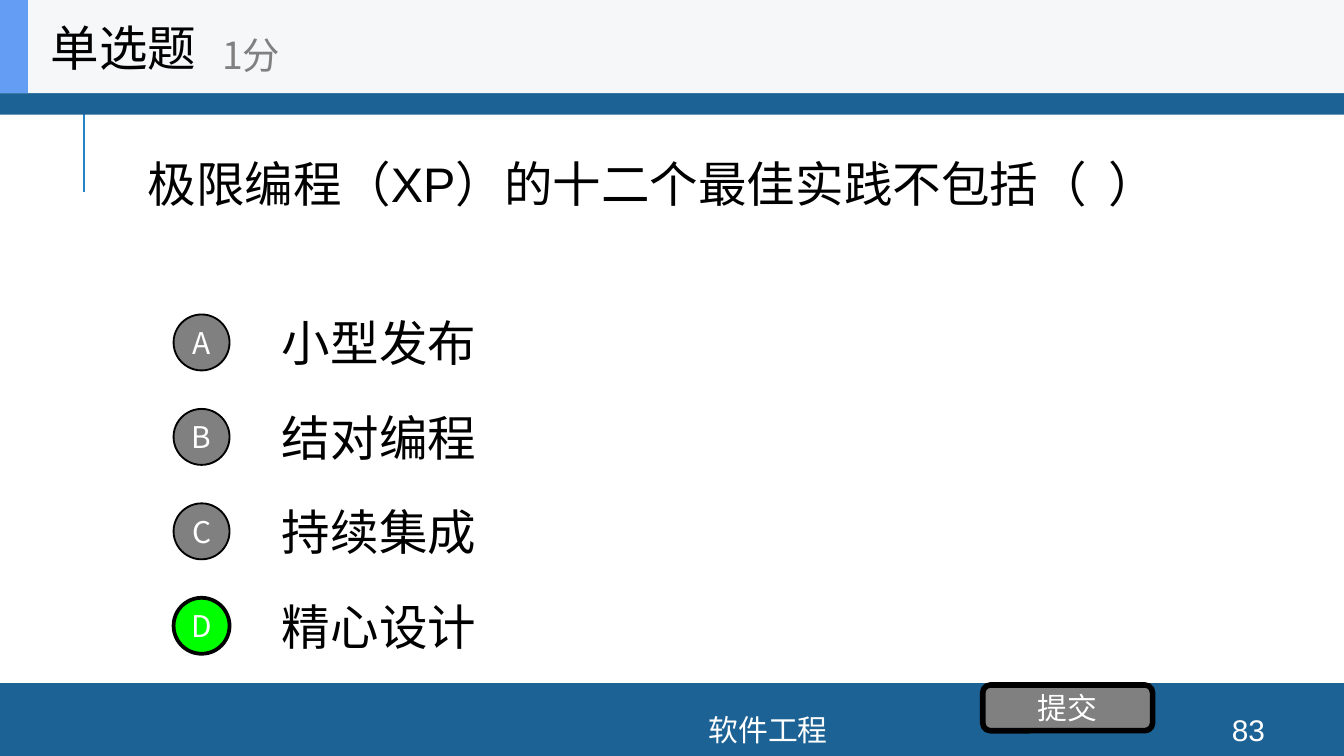
import pptx
import pptx.util
import pptx.dml.color
import pptx.enum.shapes
import pptx.enum.text
import pptx.oxml.ns
from lxml import etree

Pt = pptx.util.Pt
SHAPE = pptx.enum.shapes.MSO_SHAPE
ALIGN = pptx.enum.text.PP_ALIGN
CJK = "Noto Sans CJK SC"
COLORS = {
    "bar": "1D6294", "rule": "2683C6", "header": "F6F7F8", "accent": "639EF4",
    "gray": "808080", "correct": "00FF00", "black": "000000", "white": "FFFFFF",
}


def rgb(name):
    return pptx.dml.color.RGBColor.from_string(COLORS[name])


def write(shape, text, size=16, font="Arial", color="white",
          align=ALIGN.CENTER, inset=0, bottom=0, wrap=True):
    frame = shape.text_frame
    frame.auto_size = pptx.enum.text.MSO_AUTO_SIZE.NONE
    frame.word_wrap = wrap
    frame.vertical_anchor = pptx.enum.text.MSO_ANCHOR.MIDDLE
    frame.margin_left = frame.margin_right = Pt(inset)
    frame.margin_top, frame.margin_bottom = Pt(0), Pt(bottom)
    paragraph = frame.paragraphs[0]
    paragraph.alignment = align
    paragraph.line_spacing = 1.0
    run = paragraph.add_run()
    run.text = text
    run.font.size, run.font.name = Pt(size), font
    run.font.color.rgb = rgb(color)
    east_asian = etree.SubElement(run.font._element, pptx.oxml.ns.qn("a:ea"))
    east_asian.set("typeface", CJK)


def block(kind, left, top, width, height, fill, line=0):
    """Add a filled preset shape, outlined in black where line is a width."""
    shape = shapes.add_shape(kind, Pt(left), Pt(top), Pt(width), Pt(height))
    shape.shadow.inherit = False
    shape.fill.solid()
    shape.fill.fore_color.rgb = rgb(fill)
    if line:
        shape.line.color.rgb = rgb("black")
        shape.line.width = Pt(line)
    else:
        shape.line.fill.background()
    return shape


deck = pptx.Presentation()
deck.slide_width, deck.slide_height = Pt(720), Pt(405)
slide = deck.slides.add_slide(deck.slide_layouts[5])
shapes = slide.shapes

# Frame of the slide
rule = shapes.add_connector(pptx.enum.shapes.MSO_CONNECTOR.STRAIGHT,
                            Pt(45), Pt(103), Pt(45), Pt(49))
rule.line.color.rgb = rgb("rule")
rule.line.width = Pt(1.5)
etree.SubElement(rule._element.spPr, pptx.oxml.ns.qn("a:effectLst"))
block(SHAPE.RECTANGLE, 0, 366, 720, 39, "bar")
block(SHAPE.RECTANGLE, 0, -2, 720, 63.4, "bar")
for text, left, width in [("软件工程", 188, 447), ("83", 640, 57.6)]:
    footer = shapes.add_textbox(Pt(left), Pt(382.5), Pt(width), Pt(16.5))
    write(footer, text)

# Question
question = shapes.title
question.left, question.top = Pt(72), Pt(50)
question.width, question.height = Pt(576), Pt(126)
write(question, "极限编程（XP）的十二个最佳实践不包括（  ）", size=26,
      color="black", align=ALIGN.LEFT, inset=7.2, bottom=30)

# Answers
answers = ["小型发布", "结对编程", "持续集成", "精心设计"]
correct = "D"
for row, (letter, answer) in enumerate(zip("ABCD", answers)):
    middle = 183.5 + 50.6 * row
    option = shapes.add_textbox(Pt(144), Pt(middle - 19), Pt(504), Pt(38))
    write(option, answer, size=26, color="black", align=ALIGN.LEFT, inset=7.2)
    chosen = letter == correct
    marker = block(SHAPE.OVAL, 93, middle - 15, 30, 30,
                   "correct" if chosen else "gray", line=2 if chosen else 1)
    write(marker, letter, font=CJK, wrap=False)

submit = block(SHAPE.ROUNDED_RECTANGLE, 526.5, 367, 91, 24.5, "gray", line=3)
write(submit, "提交", font=CJK)

# Header
block(SHAPE.RECTANGLE, 0, 0, 720, 50, "header")
block(SHAPE.RECTANGLE, 0, 0, 15, 50, "accent")
question_type = shapes.add_textbox(Pt(20), Pt(0), Pt(150), Pt(50))
write(question_type, "单选题", size=26, font=CJK, color="black",
      align=ALIGN.LEFT, inset=7.2, wrap=False)
points = shapes.add_textbox(Pt(112), Pt(9), Pt(180), Pt(40))
write(points, "1分", size=20, font=CJK, color="gray",
      align=ALIGN.LEFT, inset=7.2, wrap=False)

deck.save("out.pptx")
